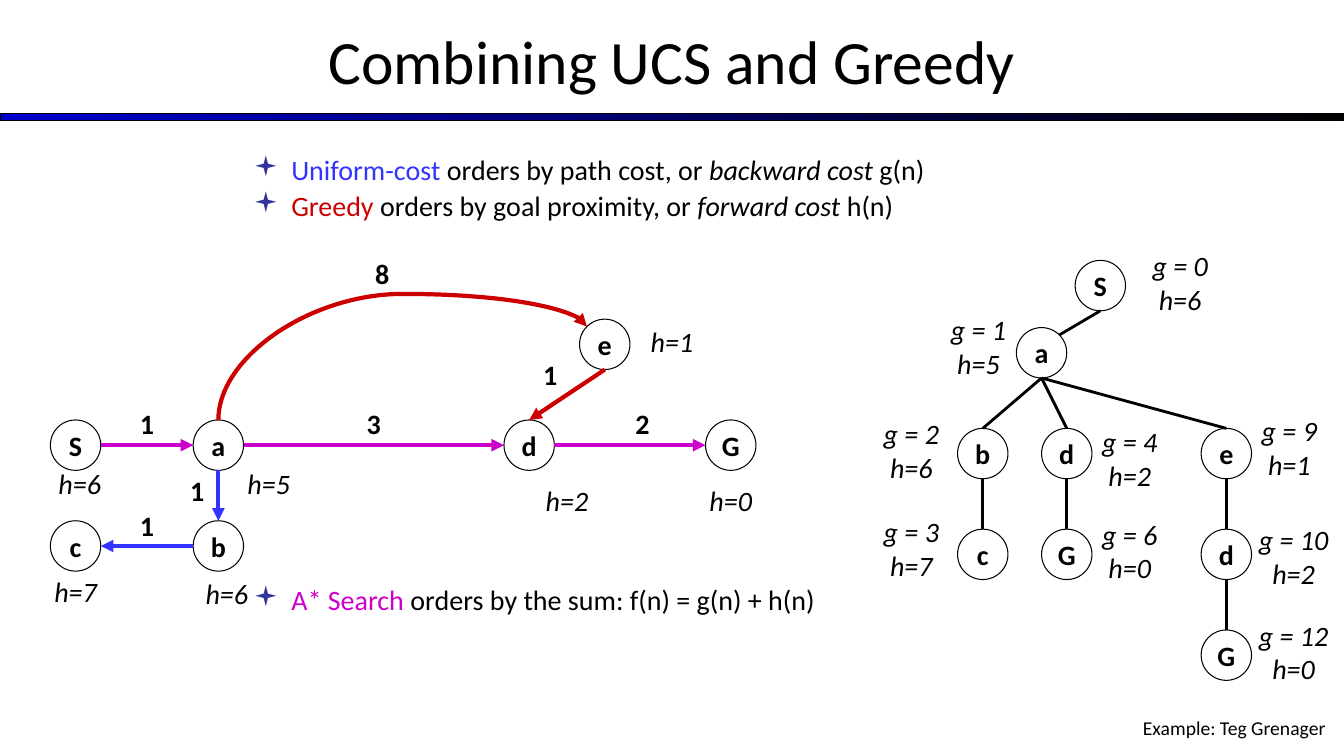
import math

import pptx
import pptx.dml.color
import pptx.enum.dml
import pptx.enum.shapes
import pptx.enum.text
import pptx.oxml.ns
import pptx.util
from lxml import etree

Pt = pptx.util.Pt
SHAPE = pptx.enum.shapes.MSO_SHAPE
CONNECTOR = pptx.enum.shapes.MSO_CONNECTOR
ALIGN = pptx.enum.text.PP_ALIGN
ANCHOR = pptx.enum.text.MSO_ANCHOR
qn = pptx.oxml.ns.qn

BLACK, WHITE, BLUE, RED, PURPLE = "000000", "FFFFFF", "3333FF", "CC0000", "CC00CC"
NODE = 36  # diameter of a node
DIAGONAL = math.sqrt(0.5)
PORTS = {
    "top": (0, -1), "bottom": (0, 1), "left": (-1, 0), "right": (1, 0),
    "top left": (-DIAGONAL, -DIAGONAL), "top right": (DIAGONAL, -DIAGONAL),
}


def colour(value):
    return pptx.dml.color.RGBColor.from_string(value)


def add_span(para, text, size=20, ink=BLACK, bold=False, italic=False):
    span = para.add_run()
    span.text = text
    font = span.font
    font.name, font.size, font.bold, font.italic = "Calibri", Pt(size), bold, italic
    font.color.rgb = colour(ink)


def add_text(page, left, top, width, height, text, align=ALIGN.CENTER,
             anchor=ANCHOR.TOP, **style):
    box = page.shapes.add_textbox(Pt(left), Pt(top), Pt(width), Pt(height))
    frame = box.text_frame
    frame.word_wrap = True
    frame.vertical_anchor = anchor
    para = frame.paragraphs[0]
    para.alignment = align
    add_span(para, text, **style)


def add_node(page, left, top, name):
    node = page.shapes.add_shape(SHAPE.OVAL, Pt(left), Pt(top), Pt(NODE), Pt(NODE))
    node.shadow.inherit = False
    node.fill.solid()
    node.fill.fore_color.rgb = colour(WHITE)
    node.line.color.rgb = colour(BLACK)
    node.line.width = Pt(0.75)
    frame = node.text_frame
    frame.word_wrap = False
    frame.vertical_anchor = ANCHOR.MIDDLE
    para = frame.paragraphs[0]
    para.alignment = ALIGN.CENTER
    add_span(para, name, bold=True)


def port(corner, side):
    """Point on the rim of the node whose box starts at corner."""
    return [start + NODE / 2 * (1 + step) for start, step in zip(corner, PORTS[side])]


def add_edge(page, start, end, ink=BLACK, width=2, arrow=False, kind=CONNECTOR.STRAIGHT):
    edge = page.shapes.add_connector(kind, *[Pt(length) for length in (*start, *end)])
    edge.line.color.rgb = colour(ink)
    edge.line.width = Pt(width)
    if arrow:
        etree.SubElement(edge.line._get_or_add_ln(), qn("a:tailEnd"), type="triangle")
    etree.SubElement(edge.element.spPr, qn("a:effectLst"))
    return edge


def add_arc(page, start, end, ink, bulge):
    """Curved arrow that leaves upwards: a sideways curve turned by 270 degrees."""
    across, rise = end[0] - start[0], start[1] - end[1]
    middle_x, middle_y = (start[0] + end[0]) / 2, (start[1] + end[1]) / 2
    arc = add_edge(page, (middle_x - rise / 2, middle_y - across / 2),
                   (middle_x + rise / 2, middle_y + across / 2),
                   ink, 3, True, CONNECTOR.CURVE)
    properties = arc.element.spPr
    properties.find(qn("a:xfrm")).set("rot", str(270 * 60000))
    guides = properties.find(qn("a:prstGeom")).find(qn("a:avLst"))
    etree.SubElement(guides, qn("a:gd"), name="adj1", fmla=f"val {round(bulge * 100000)}")


def add_header(page, left, top, width):
    add_text(page, left, top - 2, width, 90, "Combining UCS and Greedy",
             anchor=ANCHOR.MIDDLE, size=44)
    bar = page.shapes.add_shape(SHAPE.RECTANGLE, Pt(left), Pt(top + 81), Pt(width), Pt(5))
    bar.shadow.inherit = False
    bar.fill.gradient()
    bar.fill.gradient_angle = 0
    for stop, ink in zip(bar.fill.gradient_stops, ("0000CC", BLACK)):
        stop.color.rgb = colour(ink)
    bar.line.color.rgb = colour(BLACK)
    bar.line.width = Pt(0.75)


def add_bullets(page, left, top, width, height, items):
    box = page.shapes.add_textbox(Pt(left), Pt(top), Pt(width), Pt(height))
    frame = box.text_frame
    frame.word_wrap = True
    for index, spans in enumerate(items):
        para = frame.add_paragraph() if index else frame.paragraphs[0]
        para.line_spacing = 0.9
        para.space_before = Pt(4 if index else 0)
        properties = para._p.get_or_add_pPr()
        properties.set("marL", str(Pt(27)))
        properties.set("indent", str(-Pt(27)))
        bullet_ink = etree.SubElement(properties, qn("a:buClr"))
        etree.SubElement(bullet_ink, qn("a:srgbClr"), val="333399")
        etree.SubElement(properties, qn("a:buFont"), typeface="Wingdings")
        etree.SubElement(properties, qn("a:buChar"), char="▪")
        for text, style in spans:
            add_span(para, text, **style)


def add_graph(page, left, top):
    # Nodes
    nodes = {"S": (12, 120), "a": (114, 120), "d": (336, 120), "G": (480, 120),
             "c": (12, 192), "b": (114, 192), "e": (390, 48)}
    nodes = {name: (left + x, top + y) for name, (x, y) in nodes.items()}
    for name, corner in nodes.items():
        add_node(page, *corner, name)
    # Arrows
    for tail, tail_side, head, head_side, ink in (
            ("a", "bottom", "b", "top", BLUE), ("b", "left", "c", "right", BLUE),
            ("e", "bottom", "d", "top", RED), ("S", "right", "a", "left", PURPLE),
            ("a", "right", "d", "left", PURPLE), ("d", "right", "G", "left", PURPLE)):
        add_edge(page, port(nodes[tail], tail_side), port(nodes[head], head_side),
                 ink, 3, True)
    add_arc(page, port(nodes["a"], "top"), port(nodes["e"], "top left"), RED, 1.35)
    # Step costs
    for x, y, cost in ((60, 106.5, "1"), (228, 0, "8"), (60, 180, "1"), (96, 155, "1"),
                       (414, 106.5, "2"), (222, 106.5, "3"), (348, 72, "1")):
        add_text(page, left + x, top + y, 42, 31, cost, bold=True)
    # Heuristic values
    for x, y, width, value in ((0, 150, 66, 6), (132, 150, 72, 5), (354, 162, 54, 2),
                               (462, 162, 72, 0), (0, 227, 60, 7), (108, 228, 60, 6),
                               (426, 48, 60, 1)):
        add_text(page, left + x, top + y, width, 31, f"h={value}", italic=True)


def add_tree(page, left, top):
    # Node corner, label corner, g, h and label width
    states = {
        "S": ((150, 12), (192, 0), 0, 6, 66), "a": ((108, 60), (48, 46), 1, 5, 66),
        "b": ((66, 132), (0, 120), 2, 6, 66), "c": ((66, 204), (0, 190), 3, 7, 66),
        "d": ((126, 132), (156, 126), 4, 2, 66), "G": ((126, 204), (156, 192), 6, 0, 66),
        "e": ((240, 132), (270, 118), 9, 1, 66), "ed": ((240, 204), (270, 196), 10, 2, 72),
        "edG": ((240, 276), (270, 264), 12, 0, 72),
    }
    corners = {}
    for state, ((x, y), (label_x, label_y), g, h, width) in states.items():
        corners[state] = (left + x, top + y)
        add_node(page, *corners[state], state[-1])
        add_text(page, left + label_x, top + label_y, width, 55.5,
                 f"g = {g} h={h}", italic=True)
    # Branches
    for parent, child in (("S", "a"), ("a", "b"), ("a", "d"), ("a", "e"), ("b", "c"),
                          ("d", "G"), ("e", "ed"), ("ed", "edG")):
        side = "top right" if child == "a" else "top"
        add_edge(page, port(corners[parent], "bottom"), port(corners[child], side))


def main():
    deck = pptx.Presentation()
    deck.slide_width, deck.slide_height = Pt(960), Pt(540)
    page = deck.slides.add_slide(deck.slide_layouts[6])
    add_header(page, 0, 0, 960)
    add_bullets(page, 174, 108, 648, 56, [
        [("Uniform-cost ", {"ink": BLUE}), ("orders by path cost, or ", {}),
         ("backward cost ", {"italic": True}), ("g(n)", {})],
        [("Greedy ", {"ink": RED}), ("orders by goal proximity, or ", {}),
         ("forward cost ", {"italic": True}), ("h(n)", {})],
    ])
    add_bullets(page, 174, 415, 648, 30, [
        [("A* Search", {"ink": PURPLE}), (" orders by the sum: f(n) = g(n) + h(n)", {})],
    ])
    add_graph(page, 24, 180)
    add_tree(page, 618, 174)
    add_text(page, 732, 508, 222, 24, "Example: Teg Grenager", align=ALIGN.RIGHT, size=14)
    deck.save("out.pptx")


if __name__ == "__main__":
    main()
